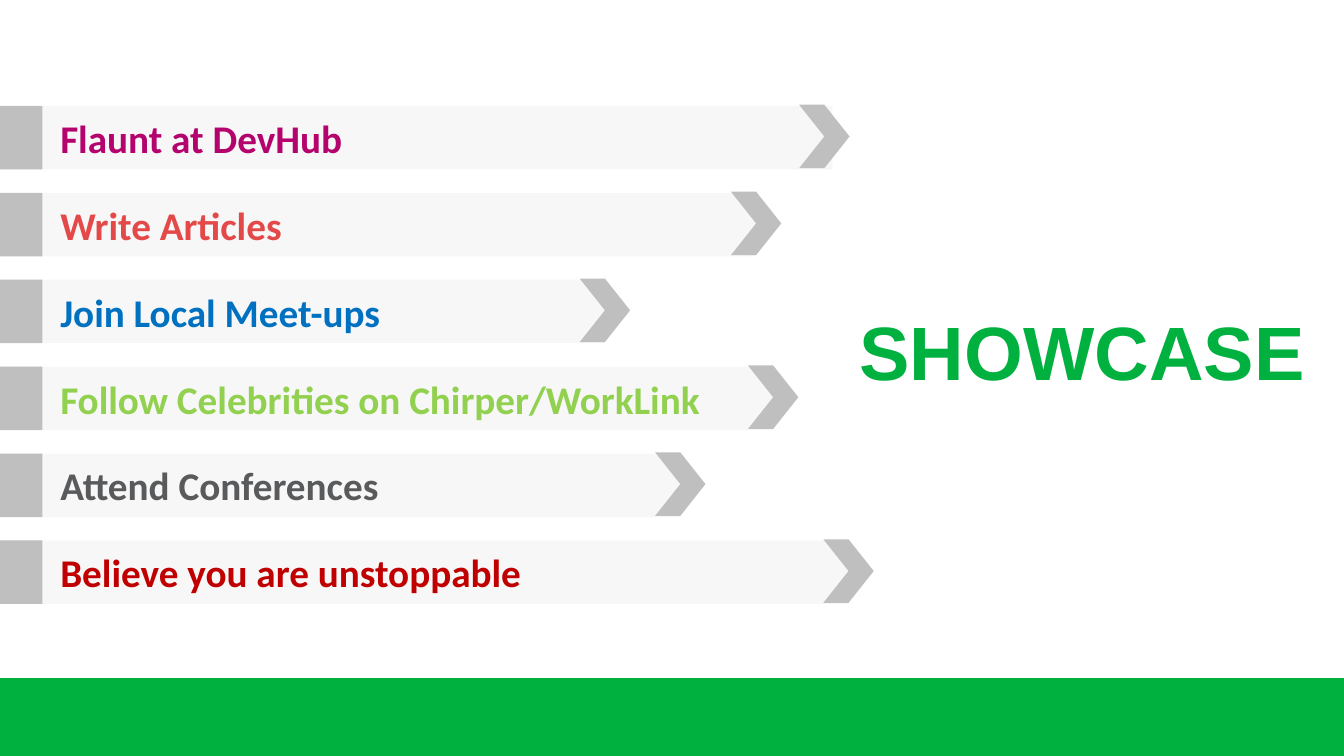
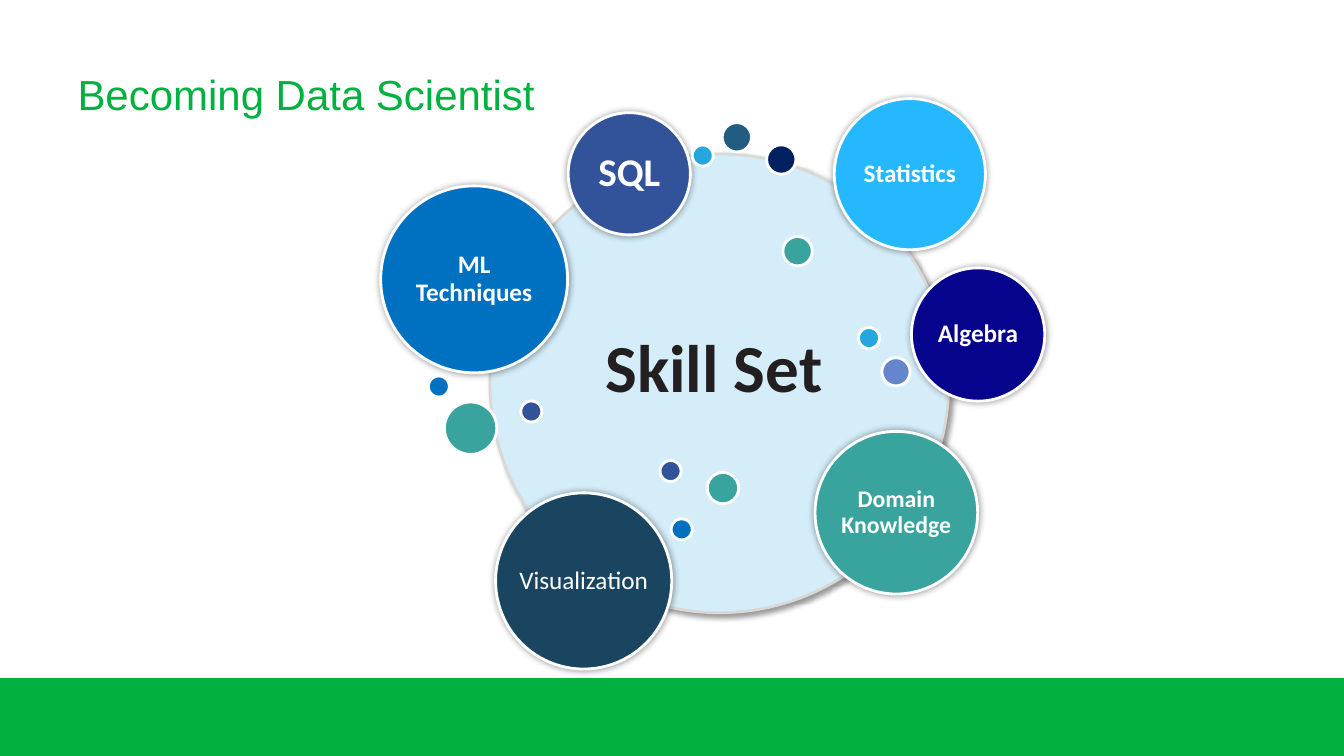
import lxml.etree
import pptx
import pptx.dml.color
import pptx.enum.shapes
import pptx.enum.text
import pptx.oxml.ns
import pptx.util

Cm = pptx.util.Cm
Pt = pptx.util.Pt
SHAPES = pptx.enum.shapes.MSO_SHAPE
ALIGN = pptx.enum.text.PP_ALIGN
MIDDLE = pptx.enum.text.MSO_ANCHOR.MIDDLE
qn = pptx.oxml.ns.qn

SLIDE_WIDTH, SLIDE_HEIGHT = 33.87, 19.05
BAND_HEIGHT = 1.96
GREEN = "00B140"
WHITE = "FFFFFF"
GREY = "BFBFBF"
PALE_GREY = "D9D9D9"
TITLE_FONT = "Arial"
BODY_FONT = "Calibri"

STEP_PITCH, STEP_HEIGHT = 2.19, 1.6
TAIL_WIDTH, CHEVRON_WIDTH = 1.07, 1.27
STEPS = [
    ("Flaunt at DevHub", "B5036D", 20.98, 20.14),
    ("Write Articles", "E44949", 19.05, 18.42),
    ("Join Local Meet-ups", "0070C0", 15.24, 14.61),
    ("Follow Celebrities on Chirper/WorkLink", "92D050", 19.48, 18.85),
    ("Attend Conferences", "585A5C", 17.15, 16.51),
    ("Believe you are unstoppable", "C00000", 21.39, 20.75),
]

SKILLS = [
    ("ML Techniques", -6.18, -2.62, 4.71, "0070C0", 18, True),
    ("Statistics", 4.8, -5.27, 3.81, "25B8FF", 18, True),
    ("Domain Knowledge", 4.46, 3.26, 4.1, "39A39D", 17, True),
    ("Visualization", -3.42, 4.98, 4.44, "1A4560", 18, False),
    ("SQL", -2.27, -5.28, 3.08, "325399", 28, True),
    ("Algebra", 6.52, -1.23, 3.36, "06038D", 18, True),
]

DOTS = [
    (1.56, -5.64, 0.74, "002060"),
    (1.97, -3.33, 0.74, "39A39D"),
    (-4.74, 0.71, 0.53, "325399"),
    (0.44, -6.2, 0.74, "225C80"),
    (-6.27, 1.13, 1.32, "39A39D"),
    (-7.07, 0.08, 0.53, "0070C0"),
    (-1.23, 2.21, 0.53, "325399"),
    (3.77, -1.14, 0.53, "26A6DE"),
    (-0.95, 3.68, 0.53, "0070C0"),
    (4.45, -0.29, 0.71, "6586CC"),
    (-0.42, -5.74, 0.53, "26A6DE"),
    (0.09, 2.64, 0.79, "39A39D"),
]


def set_color(color_format, value):
    color_format.rgb = pptx.dml.color.RGBColor.from_string(value)


def add_text(shape, text, size, color, bold=True, font=BODY_FONT, align=ALIGN.LEFT):
    paragraph = shape.text_frame.paragraphs[0]
    paragraph.alignment = align
    run = paragraph.add_run()
    run.text = text
    run.font.name = font
    run.font.size = Pt(size)
    run.font.bold = bold
    set_color(run.font.color, color)
    return paragraph


def add_shape(slide, kind, left, top, width, height, fill, line=None):
    shape = slide.shapes.add_shape(kind, Cm(left), Cm(top), Cm(width), Cm(height))
    shape.shadow.inherit = False
    shape.fill.solid()
    set_color(shape.fill.fore_color, fill)
    if line:
        set_color(shape.line.color, line)
        shape.line.width = Pt(2)
    else:
        shape.line.fill.background()
    return shape


def set_opacity(shape, percent):
    color = shape.element.spPr.find(qn("a:solidFill"))[0]
    lxml.etree.SubElement(color, qn("a:alpha")).set("val", str(percent * 1000))


def add_shadow(shape, blur, distance, degrees):
    effects = shape.element.spPr.find(qn("a:effectLst"))
    shadow = lxml.etree.SubElement(effects, qn("a:outerShdw"))
    shadow.set("blurRad", str(Pt(blur)))
    shadow.set("dist", str(Pt(distance)))
    shadow.set("dir", str(degrees * 60000))
    shadow.set("algn", "ctr")
    shadow.set("rotWithShape", "0")
    color = lxml.etree.SubElement(shadow, qn("a:srgbClr"))
    color.set("val", "000000")
    lxml.etree.SubElement(color, qn("a:alpha")).set("val", "40000")


def add_circle(slide, center_x, center_y, diameter, fill, line=WHITE):
    left, top = center_x - diameter / 2, center_y - diameter / 2
    return add_shape(slide, SHAPES.OVAL, left, top, diameter, diameter, fill, line)


def add_master_band(slide, master):
    band = add_shape(slide, SHAPES.RECTANGLE, 0, SLIDE_HEIGHT - BAND_HEIGHT,
                     SLIDE_WIDTH, BAND_HEIGHT, GREEN)
    master.shapes.element.insert(2, band.element)


def place_title(slide, text, left, top, width, size, bold):
    title = slide.shapes.title
    title.left, title.top = Cm(left), Cm(top)
    title.width, title.height = Cm(width), Cm(3.18)
    title.text_frame.auto_size = pptx.enum.text.MSO_AUTO_SIZE.NONE
    title.text_frame.vertical_anchor = MIDDLE
    add_text(title, text, size, GREEN, bold, TITLE_FONT)


def add_step(slide, left, top, label, color, width, chevron_left):
    bar = add_shape(slide, SHAPES.RECTANGLE, left, top, width, STEP_HEIGHT, PALE_GREY)
    set_opacity(bar, 20)
    bar.text_frame.margin_left = Cm(1.52)
    bar.text_frame.vertical_anchor = MIDDLE
    add_text(bar, label, 28, color)
    add_shape(slide, SHAPES.CHEVRON, left + chevron_left, top - 0.03,
              CHEVRON_WIDTH, STEP_HEIGHT, GREY)
    add_shape(slide, SHAPES.RECTANGLE, left, top, TAIL_WIDTH, STEP_HEIGHT, GREY)


def add_steps(slide, left, top):
    for index, step in enumerate(STEPS):
        add_step(slide, left, top + index * STEP_PITCH, *step)


def add_skill(slide, center_x, center_y, diameter, label, fill, size, bold):
    circle = add_circle(slide, center_x, center_y, diameter, fill)
    add_shadow(circle, 5, 0, 0)
    frame = circle.text_frame
    frame.margin_left = frame.margin_right = frame.margin_top = frame.margin_bottom = 0
    frame.vertical_anchor = MIDDLE
    frame.word_wrap = " " in label
    paragraph = add_text(circle, label, size, WHITE, bold, align=ALIGN.CENTER)
    paragraph.line_spacing = 0.9


def add_skill_map(slide, left, top, diameter):
    center_x, center_y = left + diameter / 2, top + diameter / 2
    hub = add_circle(slide, center_x, center_y, diameter, "D4EDF8", PALE_GREY)
    add_shadow(hub, 4, 3, 45)
    for label, x, y, size, fill, font_size, bold in SKILLS:
        add_skill(slide, center_x + x, center_y + y, size, label, fill, font_size, bold)
    for x, y, size, fill in DOTS:
        add_circle(slide, center_x + x, center_y + y, size, fill)
    caption = slide.shapes.add_textbox(Cm(center_x - 3.12), Cm(center_y - 1.59),
                                       Cm(7.14), Cm(2.31))
    caption.text_frame.word_wrap = True
    add_text(caption, "Skill Set", 48, "231F20")


def build_showcase(slide):
    place_title(slide, "SHOWCASE", 21.41, 7.24, 11.76, 54, True)
    add_steps(slide, 0, 2.67)


def build_skill_set(slide):
    place_title(slide, "Becoming Data Scientist", 1.7, 0.76, 30.48, 30, False)
    add_skill_map(slide, 12.35, 3.88, 11.56)


def main():
    presentation = pptx.Presentation()
    presentation.slide_width = Cm(SLIDE_WIDTH)
    presentation.slide_height = Cm(SLIDE_HEIGHT)
    layout = presentation.slide_layouts.get_by_name("Title Only")
    slides = [presentation.slides.add_slide(layout) for _ in range(2)]
    add_master_band(slides[0], presentation.slide_master)
    build_showcase(slides[0])
    build_skill_set(slides[1])
    presentation.save("out.pptx")


if __name__ == "__main__":
    main()
